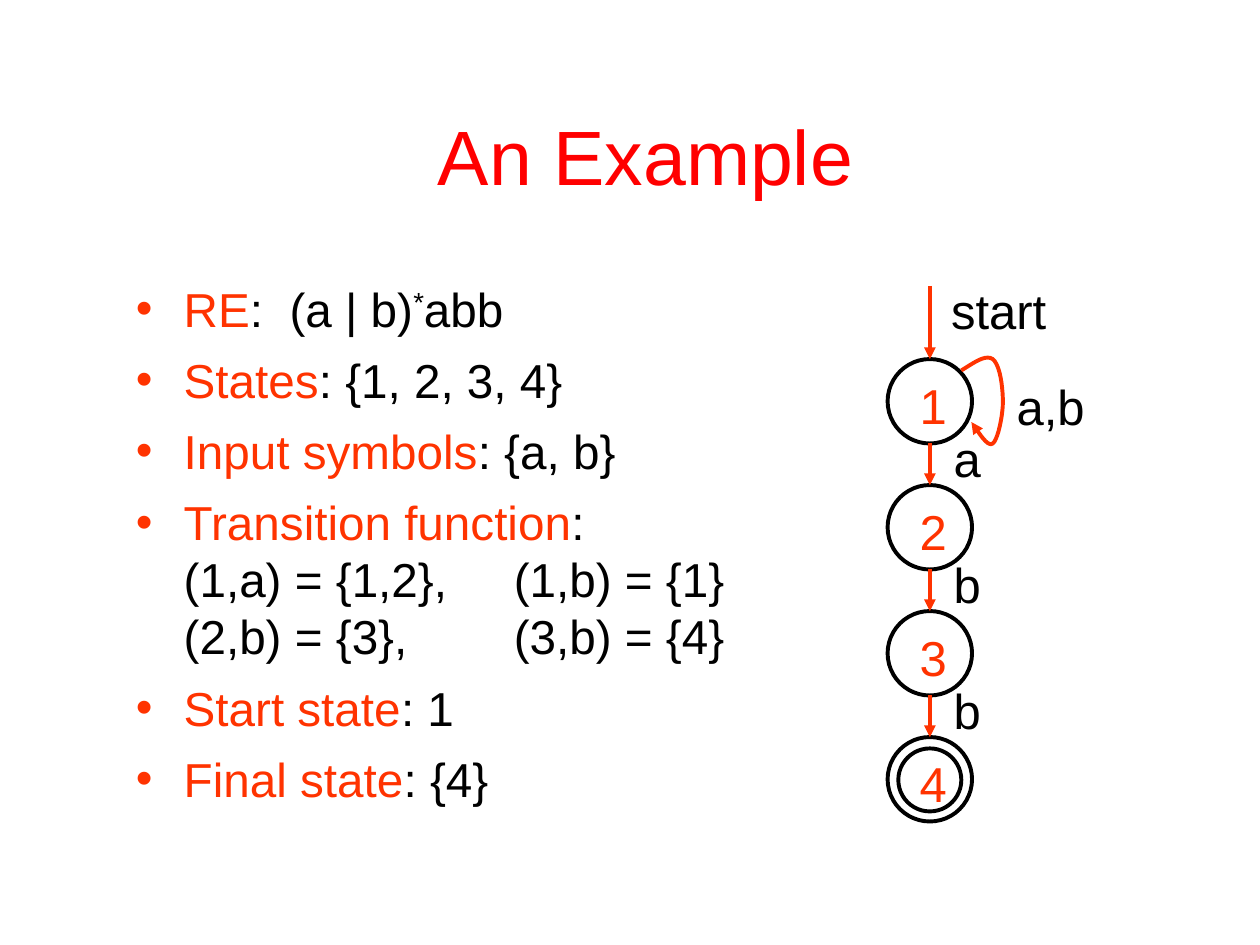
from lxml.etree import SubElement
from pptx import Presentation
from pptx.dml.color import RGBColor
from pptx.enum.shapes import MSO_CONNECTOR, MSO_SHAPE
from pptx.enum.text import MSO_ANCHOR, MSO_AUTO_SIZE, PP_ALIGN
from pptx.oxml.ns import qn
from pptx.util import Inches, Pt

RED, ORANGE, BLACK = "FF0000", "FF3300", "000000"


def add_run(paragraph, text, size, color):
    run = paragraph.add_run()
    run.text = text
    formats = {"name": "Arial", "size": Pt(size), "bold": False}
    for name, value in formats.items():
        setattr(run.font, name, value)
    run.font.color.rgb = RGBColor.from_string(color)
    return run


def style_line(shape, color, arrow=False):
    shape.line.color.rgb = RGBColor.from_string(color)
    shape.line.width = Pt(2.25)
    properties = shape._element.spPr
    if arrow:
        SubElement(properties.find(qn("a:ln")), qn("a:tailEnd"), type="triangle")
    SubElement(properties, qn("a:effectLst"))


presentation = Presentation()
presentation.slide_width, presentation.slide_height = Inches(10), Inches(7.5)
slide = presentation.slides.add_slide(presentation.slide_layouts[5])
shapes = slide.shapes

# Title
title = shapes.title
title_place = {"left": 0.75, "top": 0.6, "width": 8.75, "height": 1.25}
for name, value in title_place.items():
    setattr(title, name, Inches(value))
title.text_frame.vertical_anchor = MSO_ANCHOR.MIDDLE
title.text_frame.paragraphs[0].alignment = PP_ALIGN.CENTER
add_run(title.text_frame.paragraphs[0], "An Example", 44, RED)

# Definition of the automaton: term, then its parts ("*" is raised)
definitions = [
    ("RE", [":\t(a | b)", "*", "abb"]),
    ("States", [": {1, 2, 3, 4}"]),
    ("Input symbols", [": {a, b}"]),
    ("Transition function",
     [":", "\n", "(1,a) = {1,2},\t(1,b) = {1}", "\n", "(2,b) = {3},\t(3,b) = {4}"]),
    ("Start state", [": 1"]),
    ("Final state", [": {4}"]),
]
tab_stops = [1.22, 3]
body = shapes.add_textbox(Inches(0.98), Inches(2.17), Inches(5.92), Inches(4.83))
body.text_frame.word_wrap = True
for index, (term, parts) in enumerate(definitions):
    paragraph = body.text_frame.paragraphs[0] if index == 0 else body.text_frame.add_paragraph()
    properties = paragraph._p.get_or_add_pPr()
    properties.set("marL", str(Inches(0.38)))
    properties.set("indent", str(-Inches(0.38)))
    bullet_color = SubElement(properties, qn("a:buClr"))
    SubElement(bullet_color, qn("a:srgbClr"), val=ORANGE)
    SubElement(properties, qn("a:buFont"), typeface="Arial")
    SubElement(properties, qn("a:buChar"), char="•")
    tab_list = SubElement(properties, qn("a:tabLst"))
    for stop in tab_stops:
        SubElement(tab_list, qn("a:tab"), pos=str(Inches(stop)), algn="l")
    paragraph.space_before = Pt(8 if index else 0)
    add_run(paragraph, term, 27.2, ORANGE)
    for part in parts:
        if part == "\n":
            paragraph.add_line_break()
            continue
        run = add_run(paragraph, part, 27.2, BLACK)
        if part == "*":
            run._r.get_or_add_rPr().set("baseline", "30000")

# States: one row per inch, all on one column
center, first_row, diameter = 7.38, 2.85, 0.67
rows = [first_row + row for row in range(4)]
rings = [(top, diameter) for top in rows] + [(rows[-1] + 0.09, 0.5)]
circles = []
for top, size in rings:
    circle = shapes.add_shape(MSO_SHAPE.OVAL, Inches(center - size / 2), Inches(top),
                              Inches(size), Inches(size))
    circle.fill.background()
    style_line(circle, BLACK)
    circles.append(circle)

# Arrows into each state
arrow_starts = [2.27] + [top + diameter for top in rows[:-1]]
for start, top, circle in zip(arrow_starts, rows, circles):
    arrow = shapes.add_connector(MSO_CONNECTOR.STRAIGHT, Inches(center), Inches(start),
                                 Inches(center), Inches(top))
    arrow.end_connect(circle, 0)
    style_line(arrow, ORANGE, arrow=True)

# Loop on state 1, sampled from cubic curves
loop_start = (7.63, 2.94)
loop_curves = [
    [(7.73, 2.88), (7.82, 2.81), (7.88, 2.85)],
    [(7.94, 2.9), (7.96, 3.08), (7.96, 3.19)],
    [(7.96, 3.3), (7.92, 3.49), (7.88, 3.52)],
    [(7.84, 3.55), (7.78, 3.45), (7.71, 3.35)],
]
steps = 10
loop_points = []
corner = loop_start
for curve in loop_curves:
    for step in range(1, steps + 1):
        t = step / steps
        weights = [(1 - t) ** 3, 3 * t * (1 - t) ** 2, 3 * t ** 2 * (1 - t), t ** 3]
        loop_points.append([
            Inches(sum(weight * point[axis] for weight, point in zip(weights, [corner] + curve)))
            for axis in (0, 1)
        ])
    corner = curve[-1]
builder = shapes.build_freeform(Inches(loop_start[0]), Inches(loop_start[1]))
builder.add_line_segments(loop_points, close=False)
loop = builder.convert_to_shape()
loop.fill.background()
style_line(loop, ORANGE, arrow=True)

# Labels: text, left, top, width, colour
labels = [(str(row + 1), 7.2, top + 0.08, 0.41, ORANGE) for row, top in enumerate(rows)]
labels += [(symbol, 7.47, top + 0.5, 0.41, BLACK) for symbol, top in zip("abb", rows)]
labels += [("a,b", 7.97, 2.94, 0.74, BLACK), ("start", 7.45, 2.18, 1, BLACK)]
for text, left, top, width, color in labels:
    label = shapes.add_textbox(Inches(left), Inches(top), Inches(width), Inches(0.57))
    label.text_frame.word_wrap = False
    label.text_frame.auto_size = MSO_AUTO_SIZE.SHAPE_TO_FIT_TEXT
    add_run(label.text_frame.paragraphs[0], text, 28, color)

presentation.save("out.pptx")
